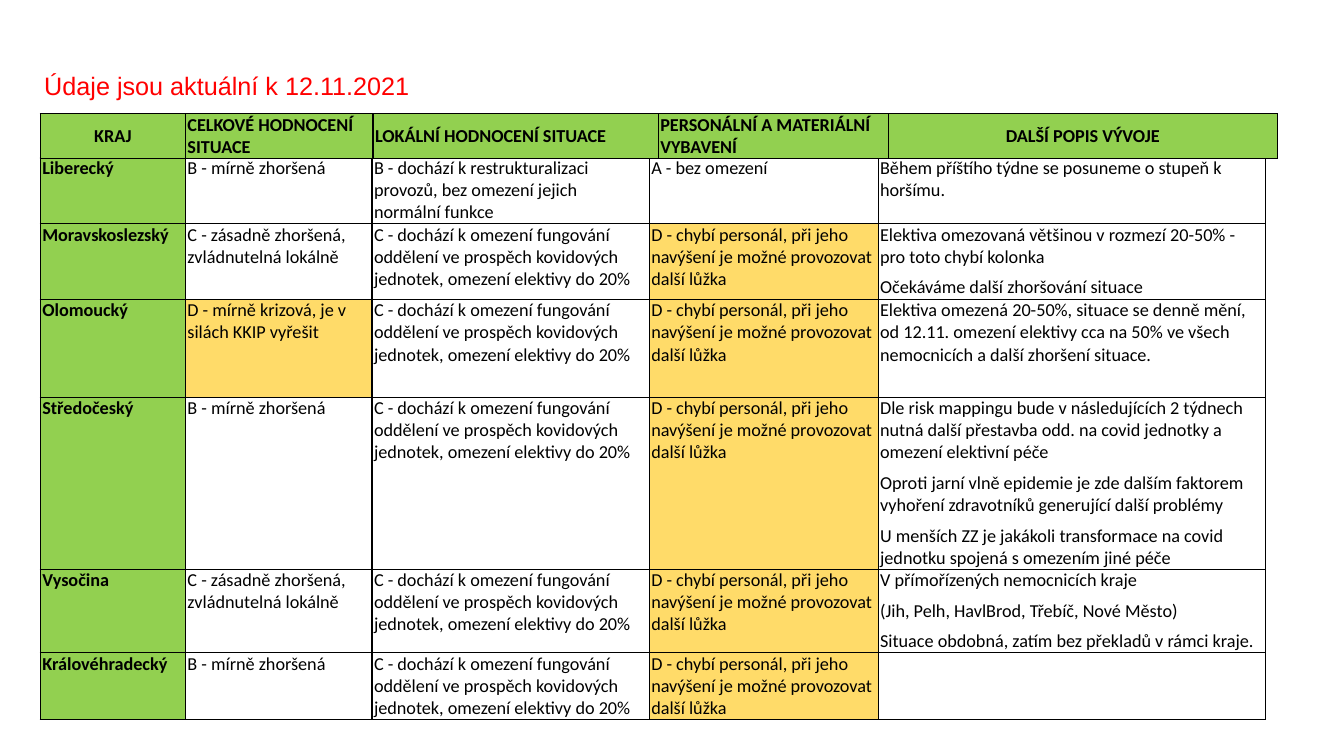
from lxml.etree import SubElement
from pptx import Presentation
from pptx.dml.color import RGBColor
from pptx.enum.text import MSO_ANCHOR as Anchor, MSO_AUTO_SIZE as AutoSize, PP_ALIGN as Align
from pptx.oxml.ns import qn
from pptx.util import Inches, Pt

GREEN = RGBColor(0x92, 0xD0, 0x50)
AMBER = RGBColor(0xFF, 0xDB, 0x69)
BLACK = RGBColor(0, 0, 0)
RED = RGBColor(0xFF, 0, 0)

HEADINGS = ["KRAJ", "CELKOVÉ HODNOCENÍ SITUACE", "LOKÁLNÍ HODNOCENÍ SITUACE",
            "PERSONÁLNÍ A MATERIÁLNÍ VYBAVENÍ", "DALŠÍ POPIS VÝVOJE"]
CENTRED_HEADINGS = (0, 4)
HEADING_WIDTHS = [1.44, 1.86, 2.83, 2.28, 3.86]
REGION_WIDTHS = [1.44, 1.85, 2.75, 2.27, 3.84]
REGION_HEIGHTS = [0.65, 0.75, 0.97, 1.7, 0.82, 0.66]

OVERALL_B = "B - mírně zhoršená"
OVERALL_C = "C - zásadně zhoršená, zvládnutelná lokálně"
OVERALL_D = "D - mírně krizová, je v silách KKIP vyřešit"
LOCAL_B = "B - dochází k restrukturalizaci provozů, bez omezení jejich normální funkce"
LOCAL_C = ("C - dochází k omezení fungování oddělení ve prospěch kovidových jednotek, "
           "omezení elektivy do 20%")
STAFF_A = "A - bez omezení"
STAFF_D = "D - chybí personál, při jeho navýšení je možné provozovat další lůžka"

REGIONS = [
    ("Liberecký", OVERALL_B, LOCAL_B, STAFF_A,
     ["Během příštího týdne se posuneme o stupeň k horšímu."]),
    ("Moravskoslezský", OVERALL_C, LOCAL_C, STAFF_D,
     ["Elektiva omezovaná většinou v rozmezí 20-50% - pro toto chybí kolonka",
      "Očekáváme další zhoršování situace"]),
    ("Olomoucký", OVERALL_D, LOCAL_C, STAFF_D,
     ["Elektiva omezená 20-50%, situace se denně mění, od 12.11. omezení elektivy "
      "cca na 50% ve všech nemocnicích a další zhoršení situace."]),
    ("Středočeský", OVERALL_B, LOCAL_C, STAFF_D,
     ["Dle risk mappingu bude v následujících 2 týdnech nutná další přestavba odd. "
      "na covid jednotky a omezení elektivní péče",
      "Oproti jarní vlně epidemie je zde dalším faktorem vyhoření zdravotníků "
      "generující další problémy",
      "U menších ZZ je jakákoli transformace na covid jednotku spojená "
      "s omezením jiné péče"]),
    ("Vysočina", OVERALL_C, LOCAL_C, STAFF_D,
     ["V přímořízených nemocnicích kraje",
      "(Jih, Pelh, HavlBrod, Třebíč, Nové Město)",
      "Situace obdobná, zatím bez překladů v rámci kraje."]),
    ("Královéhradecký", OVERALL_B, LOCAL_C, STAFF_D, []),
]


def add_run(paragraph, text, font_name, size, color, bold=False):
    """Append one formatted run."""
    run = paragraph.add_run()
    run.text = text
    run.font.name = font_name
    run.font.size = Pt(size)
    run.font.bold = bold
    run.font.color.rgb = color


def add_borders(cell):
    """Draw a thin black line on every side of the cell."""
    properties = cell._tc.get_or_add_tcPr()
    for side in ("a:lnL", "a:lnR", "a:lnT", "a:lnB"):
        line = SubElement(properties, qn(side), w=str(Pt(1)))
        fill = SubElement(line, qn("a:solidFill"))
        SubElement(fill, qn("a:srgbClr"), val=str(BLACK))


def fill_cell(cell, texts, color=None, bold=False, align=Align.LEFT, anchor=Anchor.TOP):
    """Set the borders, fill and paragraphs of a cell."""
    add_borders(cell)
    if color is None:
        cell.fill.background()
    else:
        cell.fill.solid()
        cell.fill.fore_color.rgb = color
    cell.margin_left = cell.margin_right = Inches(0.02)
    cell.margin_top = cell.margin_bottom = 0
    cell.vertical_anchor = anchor
    for index, text in enumerate(texts):
        frame = cell.text_frame
        paragraph = frame.add_paragraph() if index else frame.paragraphs[0]
        paragraph.alignment = align
        if index:
            paragraph.space_before = Pt(6)
        add_run(paragraph, text, "Calibri", 13, BLACK, bold)


def add_grid(slide, left, top, widths, heights):
    """Add a plain table with the given columns and rows."""
    grid = slide.shapes.add_table(len(heights), len(widths), Inches(left), Inches(top),
                                  Inches(sum(widths)), Inches(sum(heights))).table
    grid.first_row = grid.horz_banding = False
    for column, width in zip(grid.columns, widths):
        column.width = Inches(width)
    for row, height in zip(grid.rows, heights):
        row.height = Inches(height)
    return grid


def add_regions(slide, left, top):
    """Add the assessment of each region."""
    grid = add_grid(slide, left, top, REGION_WIDTHS, REGION_HEIGHTS)
    for row, (region, *ratings, outlook) in enumerate(REGIONS):
        fill_cell(grid.cell(row, 0), [region], GREEN, bold=True)
        for column, rating in enumerate(ratings, 1):
            color = AMBER if rating.startswith("D") else None
            fill_cell(grid.cell(row, column), [rating], color)
        fill_cell(grid.cell(row, 4), outlook)


def add_headings(slide, left, top):
    """Add the green heading row."""
    grid = add_grid(slide, left, top, HEADING_WIDTHS, [0.43])
    for column, heading in enumerate(HEADINGS):
        align = Align.CENTER if column in CENTRED_HEADINGS else Align.LEFT
        fill_cell(grid.cell(0, column), [heading], GREEN, True, align, Anchor.MIDDLE)


def add_date_title(slide, left, top, width, height):
    """Place the date of the data in the title placeholder."""
    title = slide.shapes.title
    title.left, title.top = Inches(left), Inches(top)
    title.width, title.height = Inches(width), Inches(height)
    frame = title.text_frame
    frame.word_wrap = True
    frame.auto_size = AutoSize.NONE
    frame.vertical_anchor = Anchor.TOP
    paragraph = frame.paragraphs[0]
    paragraph.alignment = Align.CENTER
    paragraph.line_spacing = 1.0
    add_run(paragraph, "Údaje jsou aktuální k 12.11.2021", "Arial", 18, RED)


def main():
    """Build and save the slide."""
    deck = Presentation()
    deck.slide_width, deck.slide_height = Inches(13.33), Inches(7.5)
    slide = deck.slides.add_slide(deck.slide_layouts[5])
    add_date_title(slide, -0.35, 0.65, 5.2, 0.4)
    add_regions(slide, 0.4, 1.56)
    add_headings(slide, 0.4, 1.13)
    deck.save("out.pptx")


if __name__ == "__main__":
    main()
